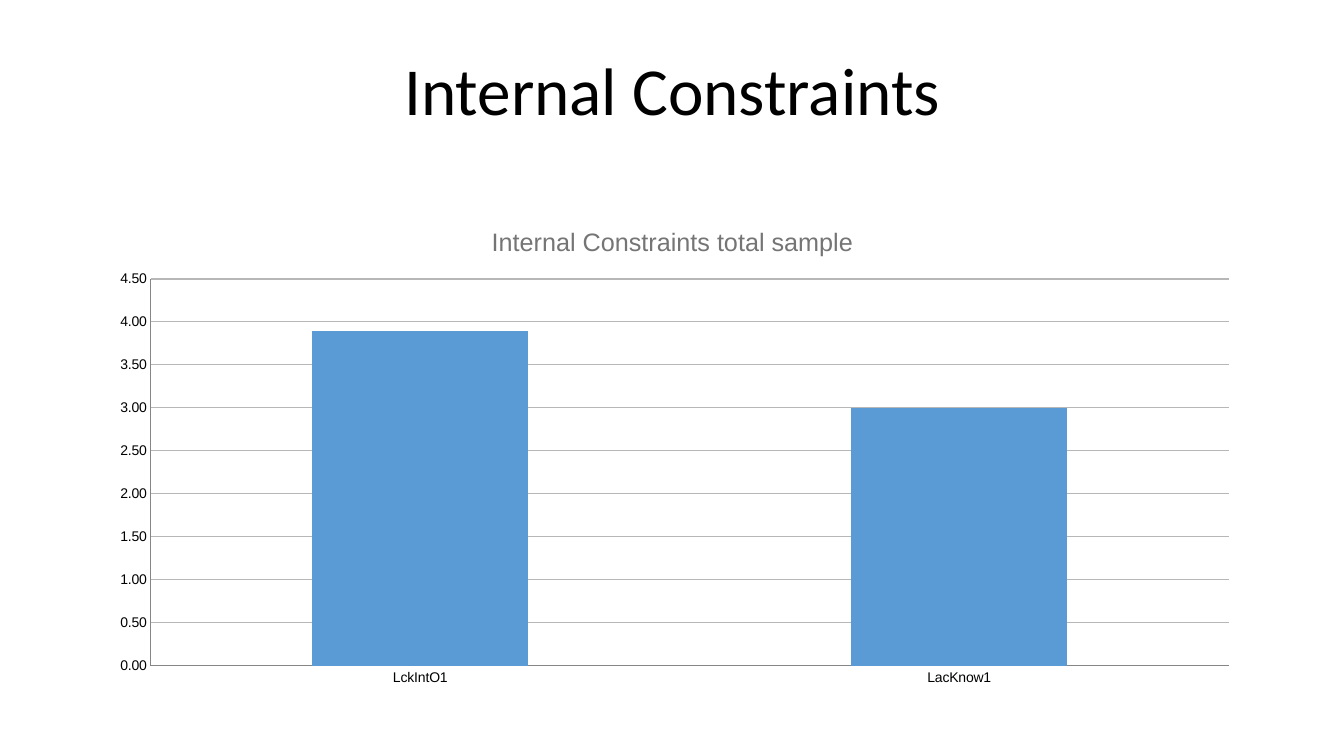
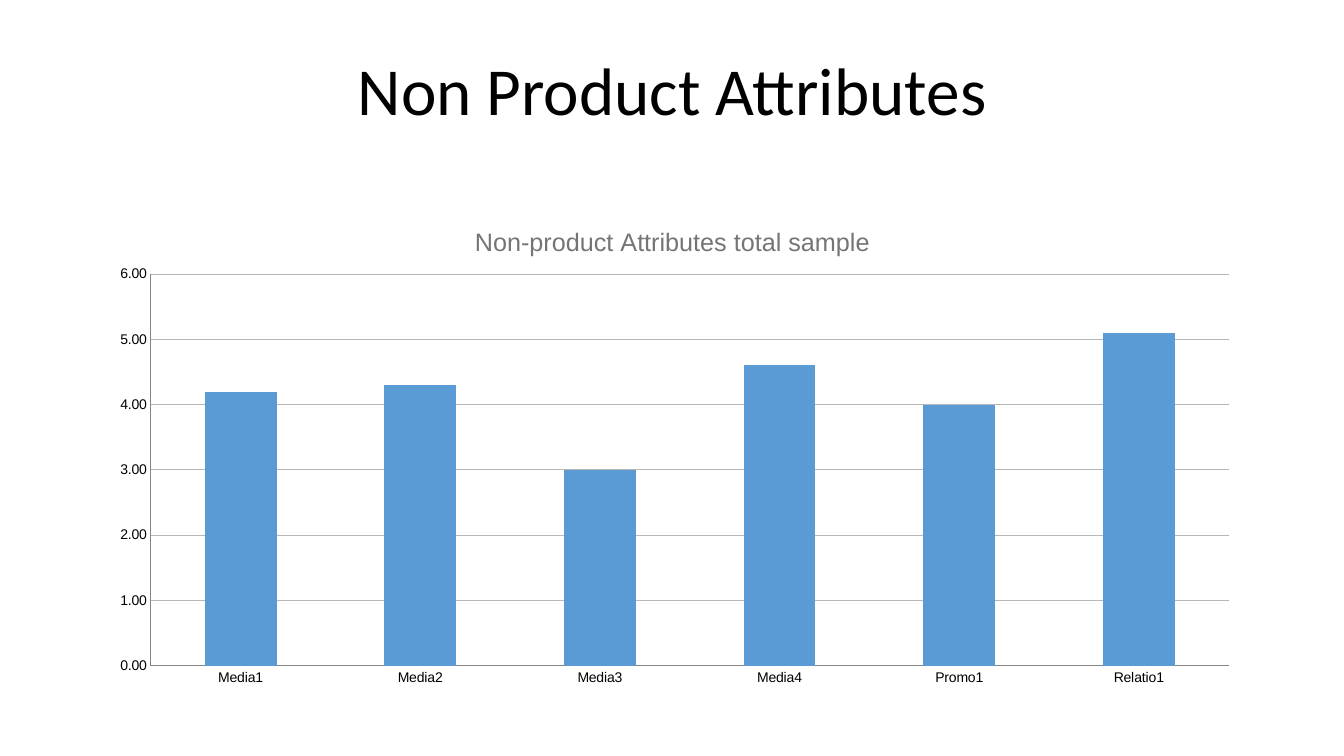
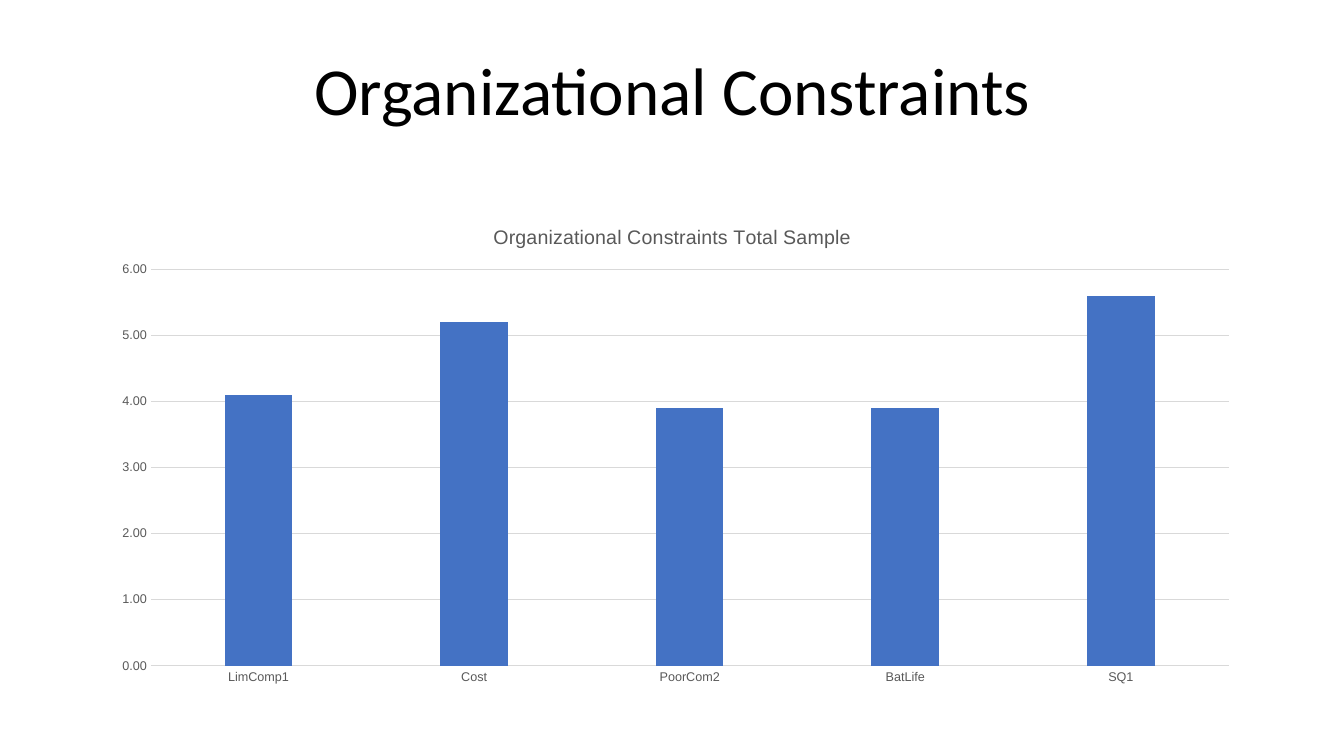
from lxml import etree
from pptx import Presentation
from pptx.chart.data import CategoryChartData
from pptx.dml.color import RGBColor
from pptx.enum.chart import XL_CHART_TYPE, XL_TICK_MARK
from pptx.enum.text import MSO_ANCHOR, PP_ALIGN
from pptx.oxml.ns import qn
from pptx.util import Cm, Pt

COLUMN = XL_CHART_TYPE.COLUMN_CLUSTERED
NO_TICK = XL_TICK_MARK.NONE
BOTTOM = MSO_ANCHOR.BOTTOM
CENTER = PP_ALIGN.CENTER

COLORS = {
    "black": "000000",
    "sky": "5B9BD5",
    "blue": "4472C4",
    "title": "757575",
    "text": "595959",
    "axis": "868686",
    "grid": "B7B7B7",
    "pale": "D9D9D9",
}

# Two chart looks
PLAIN = dict(bar="sky", head="title", head_size=18, text="black", size=10,
             grid="grid", axis="axis", side=True, gap=150, overlap=0)
SOFT = dict(bar="blue", head="text", head_size=14, text="text", size=9,
            grid="pale", axis="pale", side=False, gap=219, overlap=-27)


def color(name):
    return RGBColor.from_string(COLORS[name])


class Deck:
    left, width = Cm(2.34), Cm(29.21)

    def __init__(self):
        self.prs = Presentation()
        self.prs.slide_width, self.prs.slide_height = Cm(33.87), Cm(19.05)
        self.slide = None

    def add(self):
        self.slide = self.prs.slides.add_slide(self.prs.slide_layouts[6])

    def font(self, font, name, size, hue):
        font.name, font.size, font.bold = name, Pt(size), False
        font.color.rgb = color(hue)

    def line(self, line, hue):
        line.color.rgb = color(hue)
        line.width = Pt(0.75)

    def title(self, text):
        box = self.slide.shapes.add_textbox(self.left, Cm(0.81), self.width, Cm(2.59))
        frame = box.text_frame
        frame.word_wrap = True
        frame.vertical_anchor = BOTTOM
        frame.text = text
        para = frame.paragraphs[0]
        para.alignment, para.line_spacing = CENTER, 0.9
        self.font(para.runs[0].font, "Calibri", 48, "black")

    def chart(self, head, data, top, step, look, start):
        source = CategoryChartData(number_format="0.0")
        source.categories = list(data)
        source.add_series("Series 1", list(data.values()))
        chart = self.slide.shapes.add_chart(
            COLUMN, self.left, Cm(5.18), self.width, Cm(12.34), source).chart
        chart.has_legend = False
        self.font(chart.font, "Arial", look["size"], look["text"])

        # Heading
        chart.has_title = True
        frame = chart.chart_title.text_frame
        frame.text = head
        self.font(frame.paragraphs[0].runs[0].font, "Arial",
                  look["head_size"], look["head"])

        # Columns
        plot = chart.plots[0]
        plot.vary_by_categories = False
        plot.gap_width, plot.overlap = look["gap"], look["overlap"]
        fill = plot.series[0].format.fill
        fill.solid()
        fill.fore_color.rgb = color(look["bar"])

        # Axes
        cat, val = chart.category_axis, chart.value_axis
        for axis in (cat, val):
            axis.major_tick_mark = axis.minor_tick_mark = NO_TICK
            self.font(axis.tick_labels.font, "Arial", look["size"], look["text"])
            self.line(axis.format.line, look["axis"])
        if not look["side"]:
            val.format.line.fill.background()
        val.minimum_scale, val.maximum_scale, val.major_unit = 0, top, step
        val.tick_labels.number_format = "###0.00"
        val.tick_labels.number_format_is_linked = False
        val.has_major_gridlines = True
        self.line(val.major_gridlines.format.line, look["grid"])
        self.place(chart, start)

    def place(self, chart, start):
        """Fix the inner plot area, as fractions of the chart."""
        area = chart.plots[0]._element.getparent()
        for old in area.findall(qn("c:layout")):
            area.remove(old)
        layout = etree.Element(qn("c:layout"))
        area.insert(0, layout)
        manual = etree.SubElement(layout, qn("c:manualLayout"))
        rules = dict(layoutTarget="inner", xMode="edge", yMode="edge",
                     x=0.05, y=start, w=0.93, h=0.94 - start)
        for tag, value in rules.items():
            etree.SubElement(manual, qn("c:" + tag)).set("val", str(value))


# Title, chart heading, values, axis top, axis step, look, plot start
SLIDES = [
    ("Internal Constraints", "Internal Constraints total sample",
     {"LckIntO1": 3.9, "LacKnow1": 3}, 4.5, 0.5, PLAIN, 0.15),
    ("Non Product Attributes", "Non-product Attributes total sample",
     {"Media1": 4.2, "Media2": 4.3, "Media3": 3, "Media4": 4.6,
      "Promo1": 4, "Relatio1": 5.1}, 6, 1, PLAIN, 0.14),
    ("Organizational Constraints", "Organizational Constraints Total Sample",
     {"LimComp1": 4.1, "Cost": 5.2, "PoorCom2": 3.9, "BatLife": 3.9,
      "SQ1": 5.6}, 6, 1, SOFT, 0.13),
]


def main():
    deck = Deck()
    for title, *chart in SLIDES:
        deck.add()
        deck.title(title)
        deck.chart(*chart)
    deck.prs.save("out.pptx")


if __name__ == "__main__":
    main()
